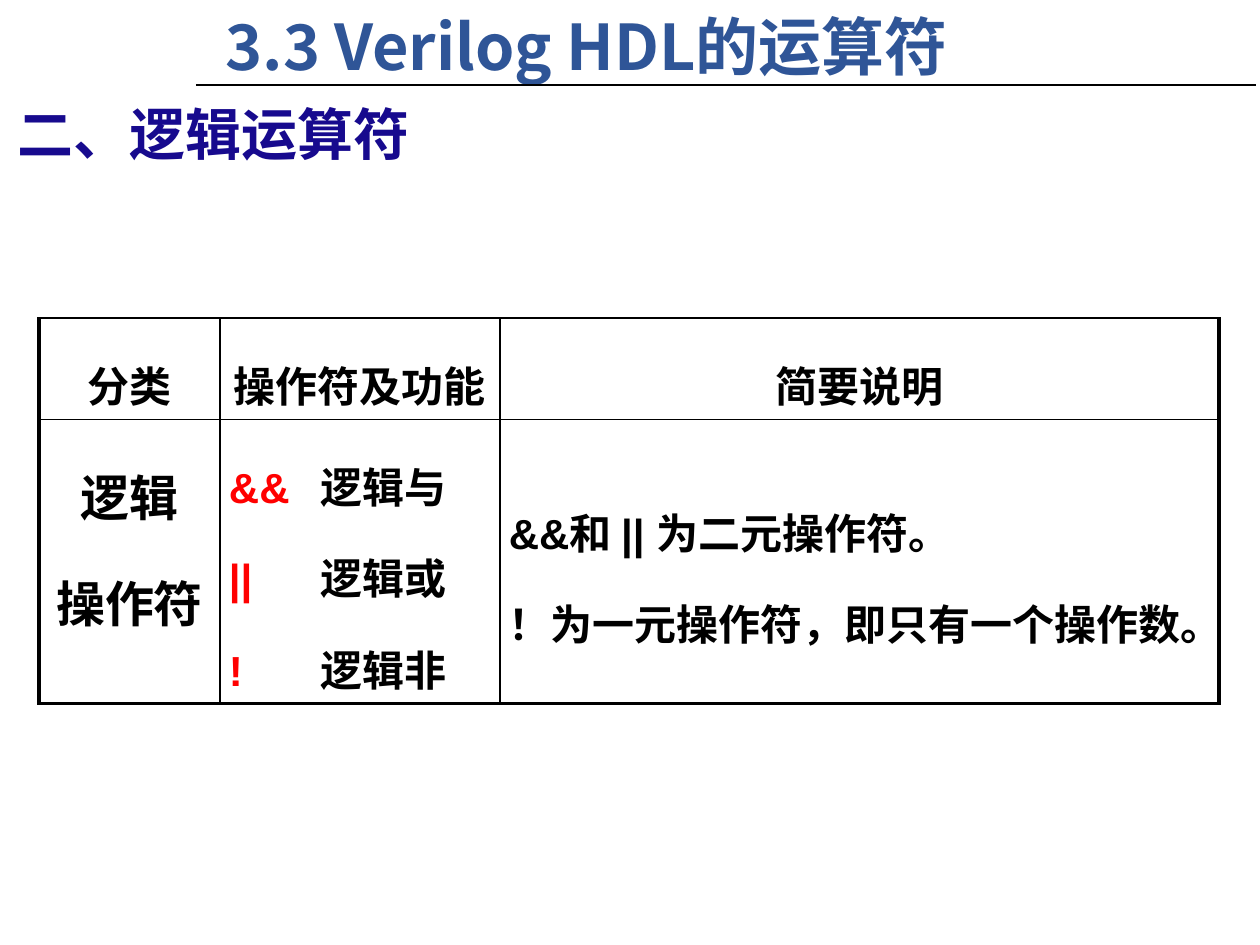
from dataclasses import dataclass

from lxml import etree
from pptx import Presentation
from pptx.dml.color import RGBColor
from pptx.enum.shapes import MSO_CONNECTOR
from pptx.enum.text import MSO_ANCHOR, PP_ALIGN
from pptx.oxml.ns import qn
from pptx.util import Emu, Pt

TOP, MIDDLE = MSO_ANCHOR.TOP, MSO_ANCHOR.MIDDLE
LEFT, CENTER = PP_ALIGN.LEFT, PP_ALIGN.CENTER
STRAIGHT = MSO_CONNECTOR.STRAIGHT
PX_PER_INCH = 126
CJK_FONT, LATIN_FONT = "Noto Sans CJK SC", "Arial"
BLACK, RED, NAVY, BLUE = "000000", "FF0000", "170A8E", "2F5597"
THIN, THICK = 1, 2.25
COLUMNS = (181, 280, 719)
ROWS = (101, 283)
OPERATOR_TAB = 92


@dataclass
class Heading:
    text: str
    x: int
    y: int
    w: int
    h: int
    size: int
    color: str


@dataclass
class Cell:
    lines: list[list[tuple[str, str]]]  # each line is a list of (text, colour)
    size: int = 24
    align: int = CENTER
    anchor: int = TOP
    tab: int = 0


def px(n: int) -> Emu:
    return Emu(round(n * 914400 / PX_PER_INCH))


def rgb(color: str) -> RGBColor:
    return RGBColor.from_string(color)


def add_run(p, text: str, *, size: int, color: str, font: str) -> None:
    r = p.add_run()
    r.text = text
    r.font.size, r.font.bold, r.font.name = Pt(size), True, font
    r.font.color.rgb = rgb(color)
    etree.SubElement(r.font._element, qn("a:ea"), typeface=CJK_FONT)


def add_heading(slide, h: Heading) -> None:
    sp = slide.shapes.add_textbox(px(h.x), px(h.y), px(h.w), px(h.h))
    tf = sp.text_frame
    tf.word_wrap = True
    tf.vertical_anchor = MIDDLE
    add_run(tf.paragraphs[0], h.text, size=h.size, color=h.color, font=CJK_FONT)


def add_rule(slide, x1: int, x2: int, y: int) -> None:
    line = slide.shapes.add_connector(STRAIGHT, px(x1), px(y), px(x2), px(y))
    line.line.color.rgb = rgb(BLACK)
    line.line.width = Pt(1.25)
    etree.SubElement(line._element.spPr, qn("a:effectLst"))


def set_borders(cell, widths: dict[str, float]) -> None:
    tc_pr = cell._tc.get_or_add_tcPr()
    for side, width in widths.items():
        ln = etree.SubElement(tc_pr, qn(f"a:ln{side}"), w=str(Pt(width)))
        fill = etree.SubElement(ln, qn("a:solidFill"))
        etree.SubElement(fill, qn("a:srgbClr"), val=BLACK)


def fill_cell(cell, content: Cell) -> None:
    cell.margin_left = cell.margin_right = px(9)
    cell.margin_top = cell.margin_bottom = px(5)
    cell.vertical_anchor = content.anchor
    tf = cell.text_frame
    for i, line in enumerate(content.lines):
        p = tf.add_paragraph() if i else tf.paragraphs[0]
        p.alignment, p.line_spacing = content.align, 1.5
        if content.tab:
            tabs = etree.SubElement(p._p.get_or_add_pPr(), qn("a:tabLst"))
            etree.SubElement(tabs, qn("a:tab"), pos=str(px(content.tab)), algn="l")
        for text, color in line:
            add_run(p, text, size=content.size, color=color, font=LATIN_FONT)


def add_operator_table(slide, x: int, y: int, grid: list[list[Cell]]) -> None:
    frame = slide.shapes.add_table(
        len(ROWS), len(COLUMNS), px(x), px(y), px(sum(COLUMNS)), px(sum(ROWS)))
    table = frame.table
    table.first_row = table.horz_banding = False
    for column, width in zip(table.columns, COLUMNS):
        column.width = px(width)
    for row, height in zip(table.rows, ROWS):
        row.height = px(height)
    last_row, last_col = len(ROWS) - 1, len(COLUMNS) - 1
    for r, contents in enumerate(grid):
        for c, content in enumerate(contents):
            cell = table.cell(r, c)
            fill_cell(cell, content)
            set_borders(cell, {
                "L": THICK if c == 0 else THIN,
                "R": THICK if c == last_col else THIN,
                "T": THIN,
                "B": THICK if r == last_row else THIN,
            })
            cell.fill.background()


HEADINGS = [
    Heading("二、逻辑运算符", 5, 93, 820, 81, 32, NAVY),
    Heading("3.3 Verilog HDL的运算符", 213, 1, 994, 89, 36, BLUE),
]
OPERATORS = [("&&", "逻辑与"), ("||", "逻辑或"), ("!", "逻辑非")]
GRID = [
    [Cell([[(name, BLACK)]]) for name in ("分类", "操作符及功能", "简要说明")],
    [
        Cell([[("逻辑", BLACK)], [("操作符", BLACK)]], size=28),
        Cell([[(f"{symbol}\t", RED), (name, BLACK)] for symbol, name in OPERATORS],
             align=LEFT, tab=OPERATOR_TAB),
        Cell([[("&&和 || 为二元操作符。", BLACK)],
              [("！为一元操作符，即只有一个操作数。", BLACK)]],
             align=LEFT, anchor=MIDDLE),
    ],
]


def main() -> None:
    prs = Presentation()
    prs.slide_width, prs.slide_height = px(1260), px(945)
    slide = prs.slides.add_slide(prs.slide_layouts[6])

    # Operator table
    add_operator_table(slide, 39, 318, GRID)

    # Title, subtitle and the rule between them
    for heading in HEADINGS:
        add_heading(slide, heading)
    add_rule(slide, 196, 1256, 85)

    prs.save("out.pptx")


if __name__ == "__main__":
    main()
